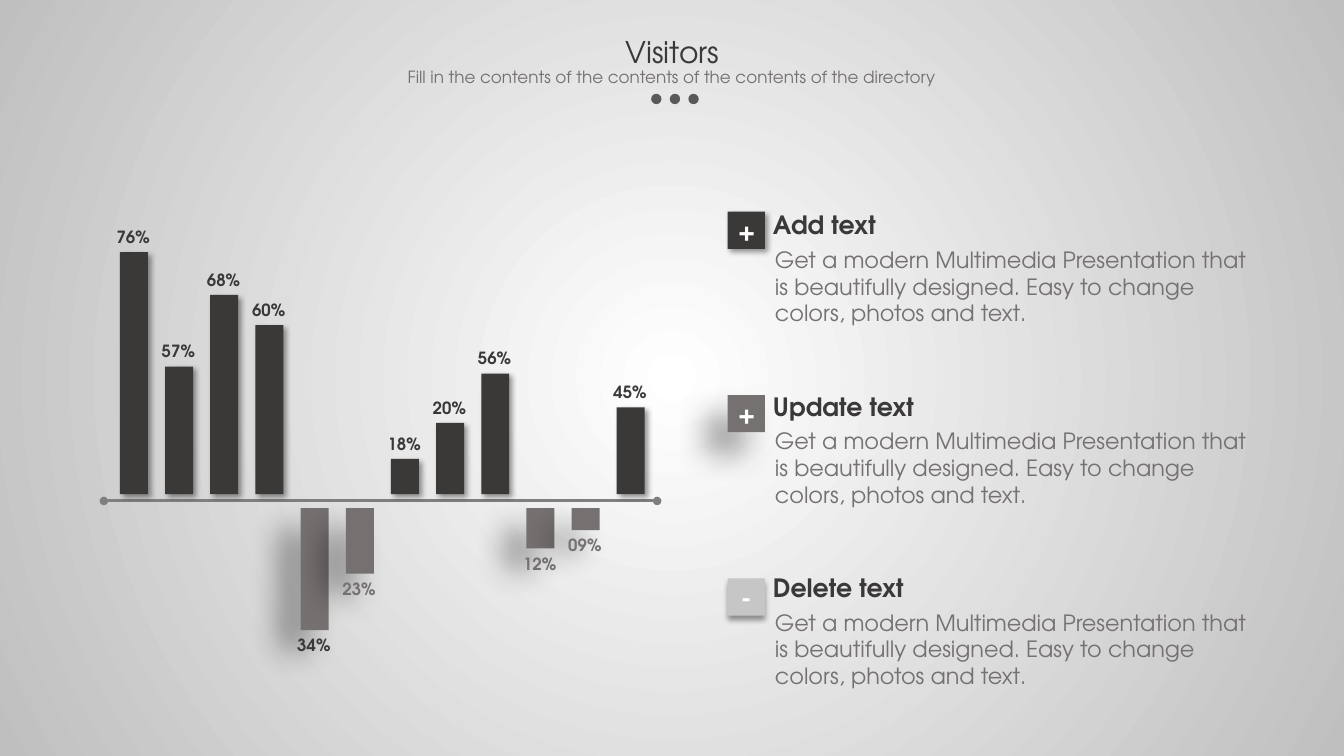
from pptx import Presentation, util as u, oxml
from pptx.dml.color import RGBColor
from pptx.enum import shapes, text
from pptx.oxml.ns import nsdecls

Pt = u.Pt
FONT = "TeX Gyre Adventor"
HUES = {"dark": "3B3838", "mid": "767171", "pale": "C6C6C6", "white": "FFFFFF",
        "title": "3A3838", "sub": "757070", "axis": "7F7F7F", "edge": "BFBFBF"}

# blur, distance, angle
SOFT, DROP, WIDE = (4, 3, 45), (4, 3, 90), (23, 21, 135)

# label, bar height (negative hangs below the axis), label colour
BARS = [("76%", 172.8, "dark"), ("57%", 91.2, "dark"), ("68%", 142.4, "dark"),
        ("60%", 120.8, "dark"), ("34%", -87.2, "dark"), ("23%", -46.8, "mid"),
        ("18%", 25.2, "dark"), ("20%", 50.9, "dark"), ("56%", 86.2, "dark"),
        ("12%", -28.8, "mid"), ("09%", -15.8, "mid"), ("45%", 62, "dark")]

CARDS = [("+", "Add text", 90, "dark", SOFT),
         ("+", "Update text", 117, "mid", WIDE),
         ("-", "Delete text", 109, "pale", DROP)]
BODY = ("Get a modern Multimedia Presentation that is beautifully designed. "
        "Easy to change colors, photos and text.")


def hue(name):
    return RGBColor.from_string(HUES[name])


def write(frame, words, size, color, bold=False, center=False, wrap=False):
    frame.word_wrap = wrap
    para = frame.paragraphs[0]
    para.text = words
    para.alignment = text.PP_ALIGN.CENTER if center else text.PP_ALIGN.LEFT
    font = para.font
    font.name, font.size, font.bold = FONT, Pt(size), bold
    font.color.rgb = hue(color)


def label(group, box, words, size, color, **style):
    frame = group.shapes.add_textbox(*map(Pt, box)).text_frame
    write(frame, words, size, color, **style)


def block(group, kind, box, color):
    shape = group.shapes.add_shape(kind, *map(Pt, box))
    shape.shadow.inherit = False
    shape.fill.solid()
    shape.fill.fore_color.rgb = hue(color)
    shape.line.fill.background()
    return shape


def shade(shape, blur, dist, angle):
    """Give the shape an outer shadow."""
    old = shape._element.spPr.find(oxml.ns.qn("a:effectLst"))
    old.append(oxml.parse_xml(
        f'<a:outerShdw {nsdecls("a")} blurRad="{Pt(blur)}" dist="{Pt(dist)}" '
        f'dir="{angle * 60000}" algn="ctr" rotWithShape="0"><a:srgbClr val="000000">'
        '<a:alpha val="40000"/></a:srgbClr></a:outerShdw>'))


def backdrop(slide):
    slide._element.cSld.insert(0, oxml.parse_xml(
        f'<p:bg {nsdecls("p", "a")}><p:bgPr><a:gradFill><a:gsLst>'
        f'<a:gs pos="0"><a:srgbClr val="{HUES["white"]}"><a:alpha val="28000"/></a:srgbClr></a:gs>'
        f'<a:gs pos="100000"><a:srgbClr val="{HUES["edge"]}"/></a:gs></a:gsLst>'
        '<a:path path="circle"><a:fillToRect l="50000" t="50000" r="50000" b="50000"/></a:path>'
        '</a:gradFill><a:effectLst/></p:bgPr></p:bg>'))


def axis(slide):
    line = slide.shapes.add_connector(shapes.MSO_CONNECTOR.STRAIGHT,
                                      Pt(74.2), Pt(357.8), Pt(469.4), Pt(357.8))
    line.line.color.rgb = hue("axis")
    line.line.width = Pt(2)
    stroke = line.line._ln
    for end in ("headEnd", "tailEnd"):
        stroke.append(oxml.parse_xml(f'<a:{end} {nsdecls("a")} type="oval"/>'))
    line._element.spPr.append(oxml.parse_xml(f'<a:effectLst {nsdecls("a")}/>'))


def bar(slide, index, words, height, color):
    group = slide.shapes.add_group_shape()
    left = 85.7 + 32.26 * index
    up = height > 0
    top = 353 - height if up else 362.9
    shape = block(group, shapes.MSO_SHAPE.RECTANGLE, (left, top, 20, abs(height)),
                  "dark" if up else "mid")
    shade(shape, *(SOFT if up else WIDE))
    place = top - 21.8 if up else top - height
    label(group, (left - 9.5, place, 39, 21.8), words, 12, color, bold=True)


def card(slide, index, sign, head, width, color, shadow):
    group = slide.shapes.add_group_shape()
    top = 146.2 + 129.6 * index
    badge = block(group, shapes.MSO_SHAPE.RECTANGLE,
                  (519.8, 151.2 + 131 * index, 26.6, 26.6), color)
    shade(badge, *shadow)
    badge.text_frame.vertical_anchor = text.MSO_ANCHOR.MIDDLE
    write(badge.text_frame, sign, 18, "white", bold=True, center=True, wrap=True)
    label(group, (545, top, width, 29), head, 18, "dark", bold=True)
    label(group, (546.5, top + 25.9, 355.7, 55.4), BODY, 16, "mid", wrap=True)


def header(slide):
    group = slide.shapes.add_group_shape()
    label(group, (344.2, 20.2, 272.2, 33), "Visitors", 21.3, "title", center=True)
    for index in range(3):
        dot = block(group, shapes.MSO_SHAPE.OVAL, (465.1 + 13.3 * index, 67, 7.4, 7.4), "title")
        tint = dot.fill._xPr.find(".//" + oxml.ns.qn("a:srgbClr"))
        tint.append(oxml.parse_xml(f'<a:alpha {nsdecls("a")} val="81000"/>'))
    label(group, (239.8, 43.9, 480.2, 21.8),
          "Fill in the contents of the contents of the contents of the directory",
          12, "sub", center=True)


def main():
    deck = Presentation()
    deck.slide_width, deck.slide_height = Pt(960), Pt(540)
    slide = deck.slides.add_slide(deck.slide_layouts[6])
    backdrop(slide)
    axis(slide)
    for index, item in enumerate(CARDS):
        card(slide, index, *item)
    for index, item in enumerate(BARS):
        bar(slide, index, *item)
    header(slide)
    deck.save("out.pptx")


if __name__ == "__main__":
    main()
